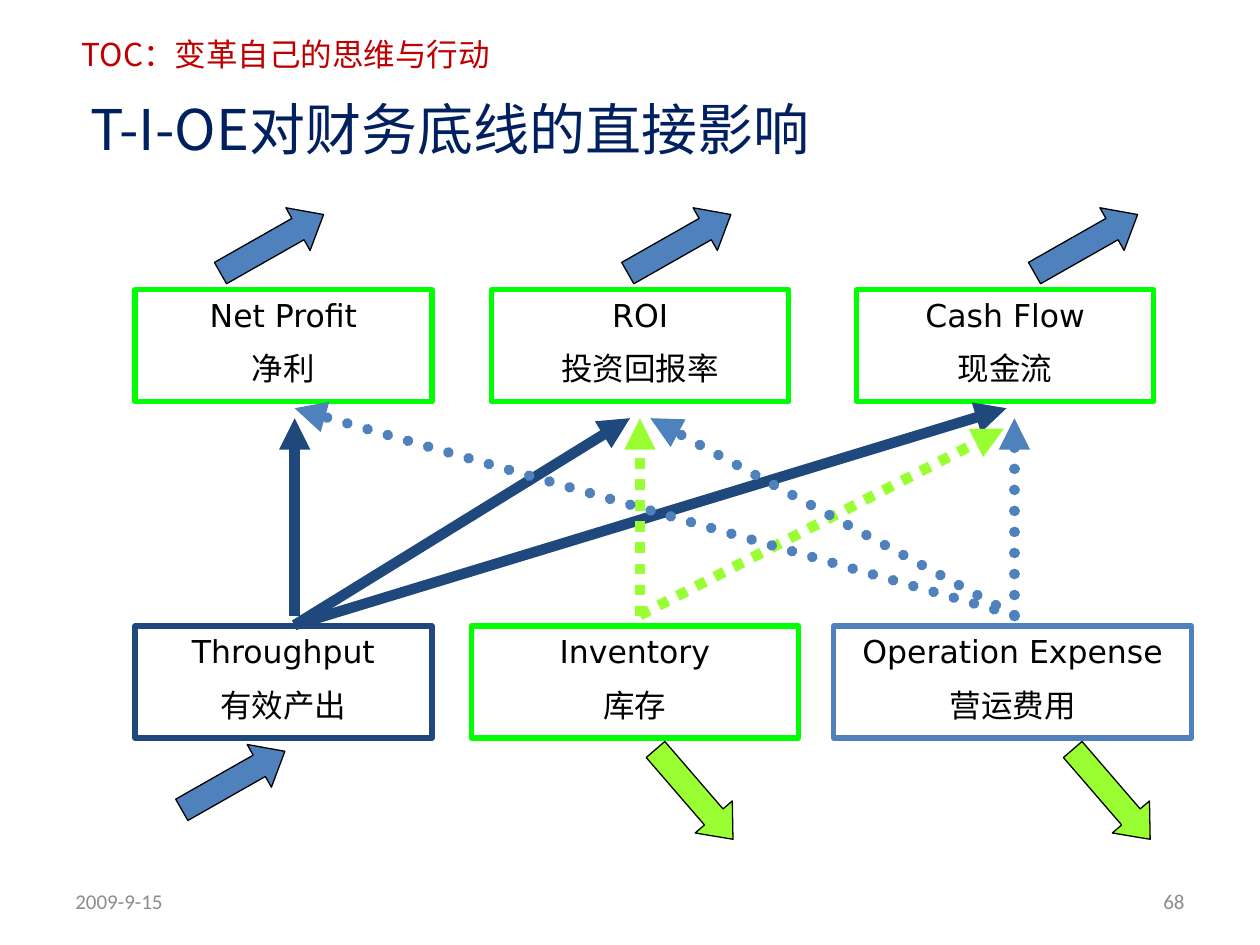
"""Build a slide on how T, I and OE drive the financial bottom line."""
from pptx import Presentation
from pptx.dml.color import RGBColor
from pptx.enum.dml import MSO_LINE
from pptx.enum.shapes import MSO_CONNECTOR, MSO_SHAPE
from pptx.enum.text import MSO_ANCHOR, MSO_AUTO_SIZE, PP_ALIGN
from pptx.util import Cm, Pt
from lxml import etree

RECT, ARROW = MSO_SHAPE.RECTANGLE, MSO_SHAPE.RIGHT_ARROW
STRAIGHT, DOTS = MSO_CONNECTOR.STRAIGHT, MSO_LINE.ROUND_DOT
LEFT, CENTER, RIGHT = PP_ALIGN.LEFT, PP_ALIGN.CENTER, PP_ALIGN.RIGHT
TOP, MIDDLE = MSO_ANCHOR.TOP, MSO_ANCHOR.MIDDLE
GROW = MSO_AUTO_SIZE.SHAPE_TO_FIT_TEXT
NS = "{http://schemas.openxmlformats.org/drawingml/2006/main}"
CJK, SANS, SMALL = "Noto Sans CJK SC", "DejaVu Sans", "Calibri"
NAVY, BLUE, LIME, GREEN = "1F497D", "4F81BD", "99FF33", "00FF00"


def color(code):
    return RGBColor.from_string(code)


def write(para, text, size, face, code, align=LEFT):
    para.alignment = align
    run = para.add_run()
    run.text = text
    run.font.size = Pt(size)
    run.font.name = face
    run.font.color.rgb = color(code)
    etree.SubElement(run.font._element, NS + "ea", typeface=CJK)


prs = Presentation()
prs.slide_width, prs.slide_height = Cm(25.4), Cm(19.05)
slide = prs.slides.add_slide(prs.slide_layouts[5])
shapes = slide.shapes

title = shapes.title
title.left, title.top, title.width, title.height = Cm(1.57), Cm(1.78), Cm(15.34), Cm(1.63)
frame = title.text_frame
frame.word_wrap = False
frame.auto_size = GROW
frame.vertical_anchor = TOP
write(frame.paragraphs[0], "T-I-OE对财务底线的直接影响", 32, CJK, "002060")

labels = [
    (1.4, 0.58, 9.12, "TOC：变革自己的思维与行动", 18, CJK, "C00000", LEFT, TOP),
    (1.27, 17.65, 5.92, "2009-9-15", 12, SMALL, "8C8C8C", LEFT, MIDDLE),
    (18.21, 17.65, 5.92, "68", 12, SMALL, "8C8C8C", RIGHT, MIDDLE),
]
for x, y, w, text, size, face, code, align, anchor in labels:
    frame = shapes.add_textbox(Cm(x), Cm(y), Cm(w), Cm(1.02)).text_frame
    frame.word_wrap = True
    frame.vertical_anchor = anchor
    write(frame.paragraphs[0], text, size, face, code, align)

high, low = 5.84, 12.62
boxes = [
    (2.72, low, 5.99, NAVY, "Throughput", "有效产出"),
    (9.5, low, 6.6, GREEN, "Inventory", "库存"),
    (16.81, low, 7.21, BLUE, "Operation Expense", "营运费用"),
    (2.72, high, 5.99, GREEN, "Net Profit", "净利"),
    (9.91, high, 5.99, GREEN, "ROI", "投资回报率"),
    (17.27, high, 5.99, GREEN, "Cash Flow", "现金流"),
]
for x, y, w, code, name, local in boxes:
    box = shapes.add_shape(RECT, Cm(x), Cm(y), Cm(w), Cm(2.26))
    box.shadow.inherit = False
    box.fill.background()
    box.line.color.rgb = color(code)
    box.line.width = Pt(3)
    frame = box.text_frame
    frame.word_wrap = True
    frame.vertical_anchor = TOP
    write(frame.paragraphs[0], name, 18, SANS, "000000", CENTER)
    para = frame.add_paragraph()
    para.space_before = Pt(9)
    write(para, local, 18, SANS, "000000", CENTER)

links = [
    (5.94, 12.42, 5.94, 8.43, NAVY),
    (5.94, 12.6, 12.7, 8.43, NAVY),
    (5.94, 12.6, 20.29, 8.23, NAVY),
    (12.9, 12.42, 12.9, 8.43, LIME),
    (20.45, 12.42, 20.45, 8.43, BLUE),
    (12.9, 12.4, 20.24, 8.64, LIME),
    (20.45, 12.4, 13.11, 8.43, BLUE),
    (20.45, 12.4, 5.94, 8.23, BLUE),
]
for x, y, x2, y2, code in links:
    link = shapes.add_connector(STRAIGHT, Cm(x), Cm(y), Cm(x2), Cm(y2))
    link.line.color.rgb = color(code)
    link.line.width = Pt(6)
    if code != NAVY:
        link.line.dash_style = DOTS
    props = link._element.spPr
    line = props.find(NS + "ln")
    if code == BLUE:
        line.set("cap", "rnd")
    etree.SubElement(line, NS + "tailEnd", type="triangle")
    etree.SubElement(props, NS + "effectLst")

rise, fall = 330.4, 49.2
trends = [
    (4.29, 4.42, rise, BLUE),
    (12.5, 4.42, rise, BLUE),
    (20.7, 4.42, rise, BLUE),
    (3.51, 15.24, rise, BLUE),
    (12.8, 15.52, fall, LIME),
    (21.21, 15.52, fall, LIME),
]
for x, y, turn, code in trends:
    trend = shapes.add_shape(ARROW, Cm(x), Cm(y), Cm(2.39), Cm(0.99))
    trend.shadow.inherit = False
    trend.rotation = turn
    trend.adjustments[1] = 0.6
    trend.fill.solid()
    trend.fill.fore_color.rgb = color(code)
    trend.line.color.rgb = color("000000")
    trend.line.width = Pt(0.75)

prs.save("out.pptx")
